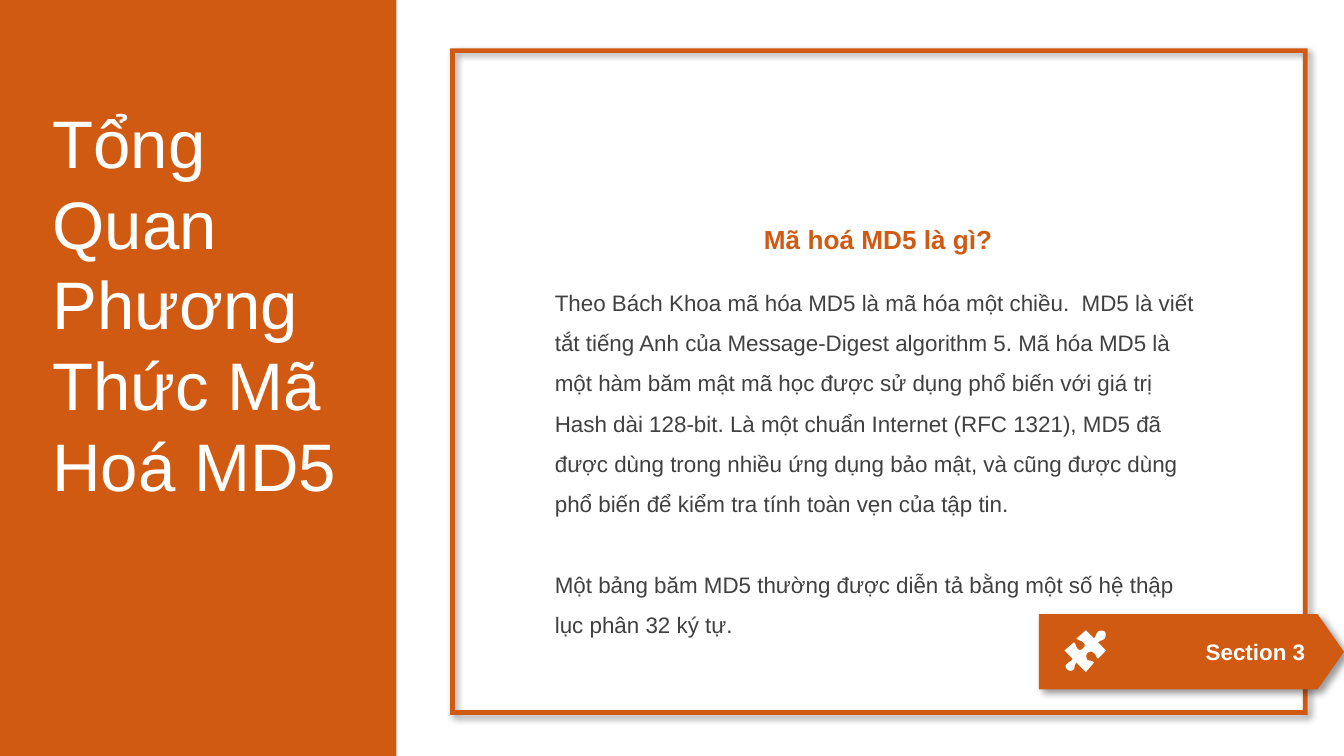
from dataclasses import dataclass

import lxml.etree
import pptx
import pptx.dml.color
import pptx.enum.shapes
import pptx.enum.text
import pptx.oxml.ns
import pptx.util

ALIGN = pptx.enum.text.PP_ALIGN
ANCHOR = pptx.enum.text.MSO_ANCHOR
FIT = pptx.enum.text.MSO_AUTO_SIZE
SHAPE = pptx.enum.shapes.MSO_SHAPE
UNIT = pptx.util.Inches(0.1)
COLUMNS, ROWS = 100, 56.25


@dataclass(frozen=True)
class Theme:
    font: str = "Arial"
    accent: str = "D15A12"
    light: str = "FFFFFF"
    ink: str = "404040"
    title: int = 36
    heading: int = 14
    body: int = 12


THEME = Theme()
TITLE = "Tổng Quan Phương Thức Mã Hoá MD5"
HEADING = "Mã hoá MD5 là gì?"
BODY = [
    "Theo Bách Khoa mã hóa MD5 là mã hóa một chiều.  MD5 là viết tắt tiếng Anh của "
    "Message-Digest algorithm 5. Mã hóa MD5 là một hàm băm mật mã học được sử dụng "
    "phổ biến với giá trị Hash dài 128-bit. Là một chuẩn Internet (RFC 1321), MD5 đã "
    "được dùng trong nhiều ứng dụng bảo mật, và cũng được dùng phổ biến để kiểm tra "
    "tính toàn vẹn của tập tin.",
    "Một bảng băm MD5 thường được diễn tả bằng một số hệ thập lục phân 32 ký tự.",
]
PUZZLE_START = (82.2, 47)
PUZZLE_STEPS = [
    [(82.3, 47.1), (82.3, 47.3), (82.2, 47.5)],
    [(82, 47.7), (81.9, 47.6), (81.7, 47.8)],
    [(82.3, 48.4)],
    [(81.7, 49)],
    [(81.5, 48.9), (81.6, 48.7), (81.4, 48.6)],
    [(81.2, 48.4), (81, 48.5), (80.9, 48.6)],
    [(80.8, 48.7), (80.8, 48.9), (80.9, 49.1)],
    [(81.1, 49.2), (81.2, 49.1), (81.4, 49.3)],
    [(80.8, 50)],
    [(80.1, 49.3)],
    [(79.9, 49.5), (80, 49.6), (79.9, 49.8)],
    [(79.7, 50), (79.5, 49.9), (79.4, 49.8)],
    [(79.3, 49.7), (79.2, 49.5), (79.4, 49.4)],
    [(79.5, 49.2), (79.7, 49.3), (79.8, 49)],
    [(79.2, 48.4)],
    [(79.9, 47.8)],
    [(80.1, 47.9), (80, 48.1), (80.2, 48.3)],
    [(80.3, 48.4), (80.5, 48.4), (80.6, 48.2)],
    [(80.7, 48.2), (80.8, 47.9), (80.6, 47.8)],
    [(80.4, 47.6), (80.3, 47.7), (80.1, 47.5)],
    [(80.8, 46.9)],
    [(81.4, 47.5)],
    [(81.6, 47.3), (81.5, 47.2), (81.7, 47)],
    [(81.8, 46.9), (82.1, 46.9), (82.2, 47)],
]


def rgb(value):
    return pptx.dml.color.RGBColor.from_string(value)


def grid(*cells):
    return [round(cell * UNIT) for cell in cells]


def paint(shape, color):
    shape.shadow.inherit = False
    shape.fill.solid()
    shape.fill.fore_color.rgb = rgb(color)
    shape.line.fill.background()


def add_panel(page, kind, place, adjustment=None):
    shape = page.shapes.add_shape(kind, *grid(*place))
    paint(shape, THEME.accent)
    if adjustment is not None:
        shape.adjustments[0] = adjustment
    return shape


def cast_shadow(shape):
    qn = pptx.oxml.ns.qn
    effects = shape.element.spPr.find(qn("a:effectLst"))
    shadow = lxml.etree.SubElement(
        effects, qn("a:outerShdw"), blurRad=str(pptx.util.Pt(4)),
        dist=str(pptx.util.Pt(3)), dir="2700000", algn="tl", rotWithShape="0")
    color = lxml.etree.SubElement(shadow, qn("a:srgbClr"), val="000000")
    lxml.etree.SubElement(color, qn("a:alpha"), val="40000")


def style(para, size, color, bold=False, align=ALIGN.LEFT):
    para.alignment = align
    para.font.name = THEME.font
    para.font.size = pptx.util.Pt(size)
    para.font.color.rgb = rgb(color)
    para.font.bold = bold


def add_text(page, place, lines, size, color, bold=False, align=ALIGN.LEFT,
             spacing=1.0, gap=0):
    box = page.shapes.add_textbox(*grid(*place))
    frame = box.text_frame
    frame.word_wrap = True
    frame.auto_size = FIT.SHAPE_TO_FIT_TEXT
    for index, line in enumerate(lines):
        para = frame.add_paragraph() if index else frame.paragraphs[0]
        para.text = line
        para.line_spacing = spacing
        if index:
            para.space_before = pptx.util.Pt(gap)
        style(para, size, color, bold, align)


def set_title(page, place):
    title = page.shapes.title
    title.left, title.top, title.width, title.height = grid(*place)
    frame = title.text_frame
    frame.text = TITLE
    frame.word_wrap = True
    frame.auto_size = FIT.NONE
    frame.vertical_anchor = ANCHOR.MIDDLE
    style(frame.paragraphs[0], THEME.title, THEME.light)
    return title


def curve(points, steps=6):
    for step in range(1, steps + 1):
        t = step / steps
        weights = ((1 - t) ** 3, 3 * t * (1 - t) ** 2, 3 * t * t * (1 - t), t ** 3)
        yield tuple(sum(w * point[axis] for w, point in zip(weights, points))
                    for axis in (0, 1))


def add_puzzle(page):
    outline = [PUZZLE_START]
    for step in PUZZLE_STEPS:
        outline += step if len(step) == 1 else curve([outline[-1], *step])
    builder = page.shapes.build_freeform(*grid(*outline[0]))
    builder.add_line_segments([grid(*point) for point in outline[1:]], close=True)
    paint(builder.convert_to_shape(), THEME.light)


def main():
    deck = pptx.Presentation()
    deck.slide_width, deck.slide_height = grid(COLUMNS, ROWS)
    page = deck.slides.add_slide(deck.slide_layouts[5])

    title = set_title(page, (2.9, 14.7, 24.4, 15.7))
    sidebar = add_panel(page, SHAPE.RECTANGLE, (0, 0, 29.5, ROWS))
    title.element.addprevious(sidebar.element)

    cast_shadow(add_panel(page, SHAPE.FRAME, (33.5, 3.6, 63.8, 49.6), 0.007))
    add_text(page, (40.3, 20, 50.1, 27.9), BODY, THEME.body, THEME.ink,
             spacing=1.5, gap=21.6)
    add_text(page, (40.3, 16.1, 50.1, 3.4), [HEADING], THEME.heading,
             THEME.accent, bold=True, align=ALIGN.CENTER)

    cast_shadow(add_panel(page, SHAPE.PENTAGON, (77.3, 45.7, 22.7, 5.6), 0.35))
    add_text(page, (82.6, 47, 15.5, 3), ["Section 3"], THEME.body,
             THEME.light, bold=True, align=ALIGN.RIGHT)
    add_puzzle(page)
    deck.save("out.pptx")


if __name__ == "__main__":
    main()
